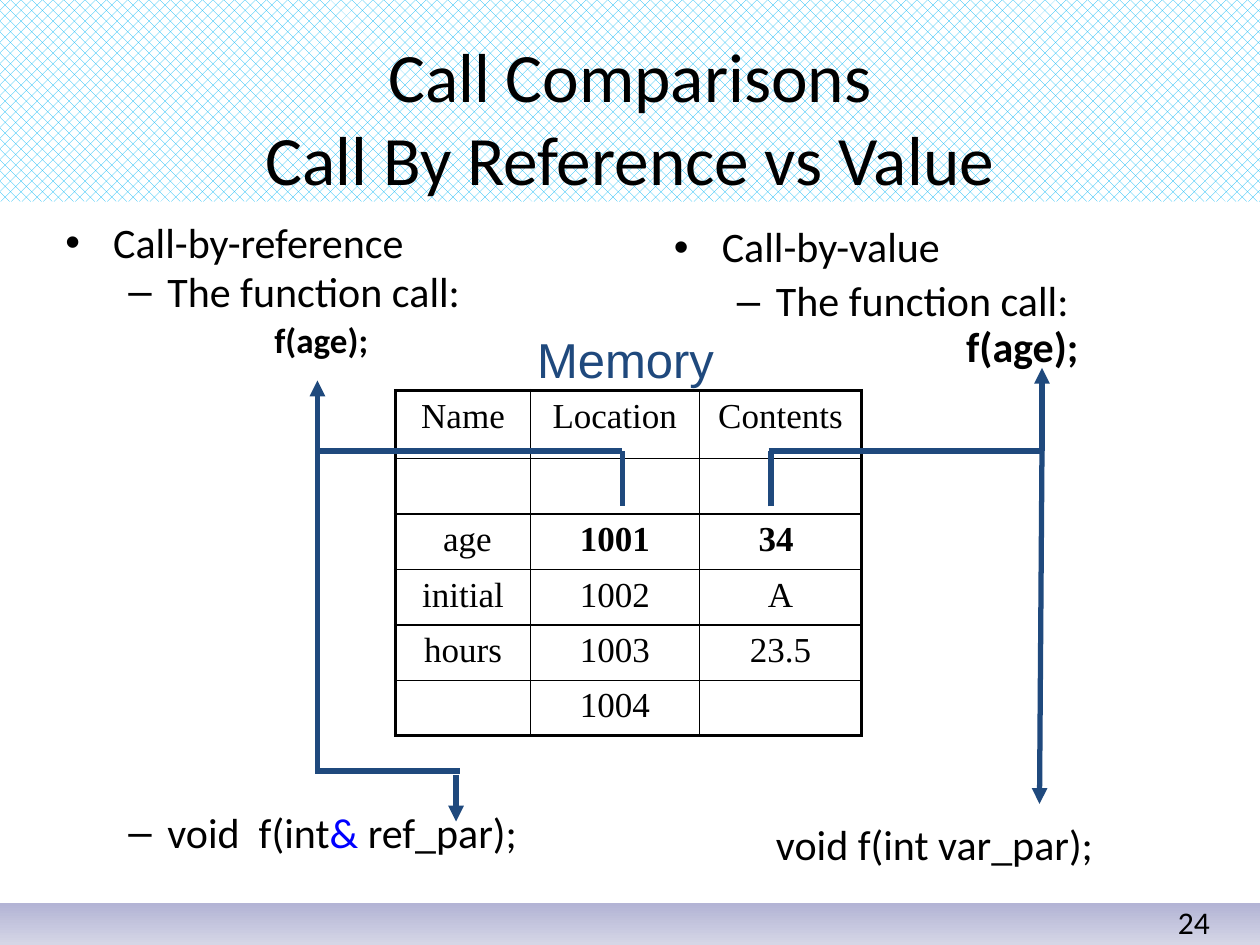
from lxml.etree import SubElement
from pptx import Presentation
from pptx.dml.color import RGBColor
from pptx.enum.dml import MSO_PATTERN
from pptx.enum.shapes import MSO_CONNECTOR, MSO_SHAPE
from pptx.enum.text import MSO_ANCHOR, PP_ALIGN
from pptx.oxml.ns import qn
from pptx.util import Inches, Pt

BLACK = RGBColor(0, 0, 0)
WHITE = RGBColor(255, 255, 255)
NAVY = RGBColor(0x1F, 0x49, 0x7D)
BLUE = RGBColor(0, 0, 255)
CYAN = RGBColor(0x00, 0xB6, 0xF6)
LILAC = RGBColor(0xB3, 0xB4, 0xD5)
PALE = RGBColor(0xD5, 0xD6, 0xE6)


def style(run, size, font="Calibri", color=BLACK, bold=False):
    run.font.size = Pt(size)
    run.font.name = font
    run.font.color.rgb = color
    run.font.bold = bold


def add_text(slide, x, y, w, h):
    box = slide.shapes.add_textbox(Inches(x), Inches(y), Inches(w), Inches(h))
    box.text_frame.word_wrap = True
    return box.text_frame


def add_label(slide, box, text, size, font="Calibri", color=BLACK, align=PP_ALIGN.CENTER):
    frame = add_text(slide, *box)
    frame.vertical_anchor = MSO_ANCHOR.MIDDLE
    frame.text = text
    for para in frame.paragraphs:
        para.alignment = align
        for run in para.runs:
            style(run, size, font, color)


def add_band(slide, x, y, w, h):
    band = slide.shapes.add_shape(MSO_SHAPE.RECTANGLE, Inches(x), Inches(y), Inches(w), Inches(h))
    band.shadow.inherit = False
    band.line.fill.background()
    return band.fill


def add_header(slide, x, y, w, h):
    fill = add_band(slide, x, y, w, h)
    fill.patterned()
    fill.pattern = MSO_PATTERN.from_xml("pct40")
    fill.fore_color.rgb = CYAN
    fill.back_color.rgb = WHITE
    title = "Call Comparisons\nCall By Reference vs Value"
    add_label(slide, (x + 0.5, y + 0.3, w - 1, 1.25), title, 39.6)


def add_footer(slide, x, y, w, h):
    fill = add_band(slide, x, y, w, h)
    fill.gradient()
    fill.gradient_angle = 270
    for stop, color in zip(fill.gradient_stops, (LILAC, PALE)):
        stop.color.rgb = color
    add_label(slide, (x + w - 0.75, y - 0.05, 0.75, 0.4), "24", 18, align=PP_ALIGN.LEFT)


def add_column(slide, x, y, w, h, space, lines):
    frame = add_text(slide, x, y, w, h)
    for i, (parts, left, hang, mark, gap, size, bold) in enumerate(lines):
        para = frame.add_paragraph() if i else frame.paragraphs[0]
        para.line_spacing = space
        para.space_before = Pt(gap)
        props = para._p.get_or_add_pPr()
        props.set("marL", str(Inches(left)))
        props.set("indent", str(Inches(-hang)))
        if mark:
            SubElement(props, qn("a:buFont"), typeface="Arial")
            SubElement(props, qn("a:buChar"), char=mark)
        for part in parts:
            run = para.add_run()
            run.text = part
            style(run, size, color=BLUE if part == "& " else BLACK, bold=bold)


def add_edge(cell, side, width):
    line = SubElement(cell._tc.get_or_add_tcPr(), qn("a:" + side), w=str(Pt(width)))
    SubElement(SubElement(line, qn("a:solidFill")), qn("a:srgbClr"), val=str(BLACK))


def add_memory(slide, x, y, w, h):
    add_label(slide, (x + 1.02, y - 0.54, 1.61, 0.57), "Memory", 28, "Arial", NAVY)
    rows = [
        ("Name", "Location", "Contents"),
        ("", "", ""),
        (" age", "1001", "34 "),
        ("initial", "1002", "A"),
        ("hours", "1003", "23.5"),
        ("", "1004", ""),
    ]
    widths = (1.07, 1.34, 1.29)
    frame = slide.shapes.add_table(len(rows), len(widths), Inches(x), Inches(y), Inches(w), Inches(h))
    table = frame.table
    for c, width in enumerate(widths):
        table.columns[c].width = Inches(width)
    for r, row in enumerate(rows):
        table.rows[r].height = Inches(0.44 if r else 0.54)
        for c, text in enumerate(row):
            cell = table.cell(r, c)
            cell.text = text
            para = cell.text_frame.paragraphs[0]
            para.alignment = PP_ALIGN.CENTER
            for run in para.runs:
                style(run, 20, "Times New Roman", bold=r == 2 and c > 0)
            outer = {"lnL": c == 0, "lnR": c == 2, "lnT": r == 0, "lnB": r == 5}
            for side, thick in outer.items():
                add_edge(cell, side, 2.25 if thick else 1)
            cell.fill.background()


def add_lines(slide, x, y, lines):
    for x1, y1, x2, y2, arrow in lines:
        line = slide.shapes.add_connector(
            MSO_CONNECTOR.STRAIGHT, Inches(x + x1), Inches(y + y1), Inches(x + x2), Inches(y + y2))
        line.line.color.rgb = NAVY
        line.line.width = Pt(3)
        props = line._element.spPr
        if arrow:
            SubElement(props.find(qn("a:ln")), qn("a:tailEnd"), type="triangle")
        SubElement(props, qn("a:effectLst"))


def main():
    deck = Presentation()
    deck.slide_width, deck.slide_height = Inches(10), Inches(7.5)
    slide = deck.slides.add_slide(deck.slide_layouts[6])
    add_footer(slide, 0, 7.17, 10, 0.33)
    add_header(slide, 0, 0, 10, 1.6)
    add_column(slide, 0.42, 1.75, 4.5, 5.39, 0.8, [
        (["Call-by-reference"], 0.38, 0.38, "•", 0, 24, False),
        (["The function call:"], 0.81, 0.31, "–", 4.8, 24, False),
        (["f(age);"], 1.66, 0, "", 6, 20, True),
        (["void  f(int", "& ", "ref_par);"], 0.81, 0.31, "–", 261, 24, False),
    ])
    add_column(slide, 5.25, 1.75, 3.92, 5.4, 0.9, [
        (["Call-by-value"], 0.38, 0.38, "•", 0, 24, False),
        (["The function call:"], 0.81, 0.31, "–", 4.8, 24, False),
        (["f(age);"], 2.32, 0, "", 0, 24, True),
        (["void f(int var_par);"], 0.81, 0, "", 259, 24, False),
    ])
    add_memory(slide, 3.14, 3.1, 3.7, 2.73)
    add_lines(slide, 2.52, 3.58, [
        (2.42, 0, 2.42, 0.44, False),
        (2.42, 0, 0, 0, False),
        (0, 0, 0, -0.56, True),
        (-0.02, 2.54, 1.13, 2.54, False),
        (1.1, 2.57, 1.1, 2.94, True),
        (0, 0, 0, 2.54, False),
    ])
    add_lines(slide, 6.12, 3.58, [
        (0, 0.44, 0, 0, False),
        (-0.02, 0, 2.13, 0, False),
        (2.15, 0, 2.15, -0.66, True),
        (2.15, 0, 2.13, 2.8, True),
    ])
    deck.save("out.pptx")


if __name__ == "__main__":
    main()
